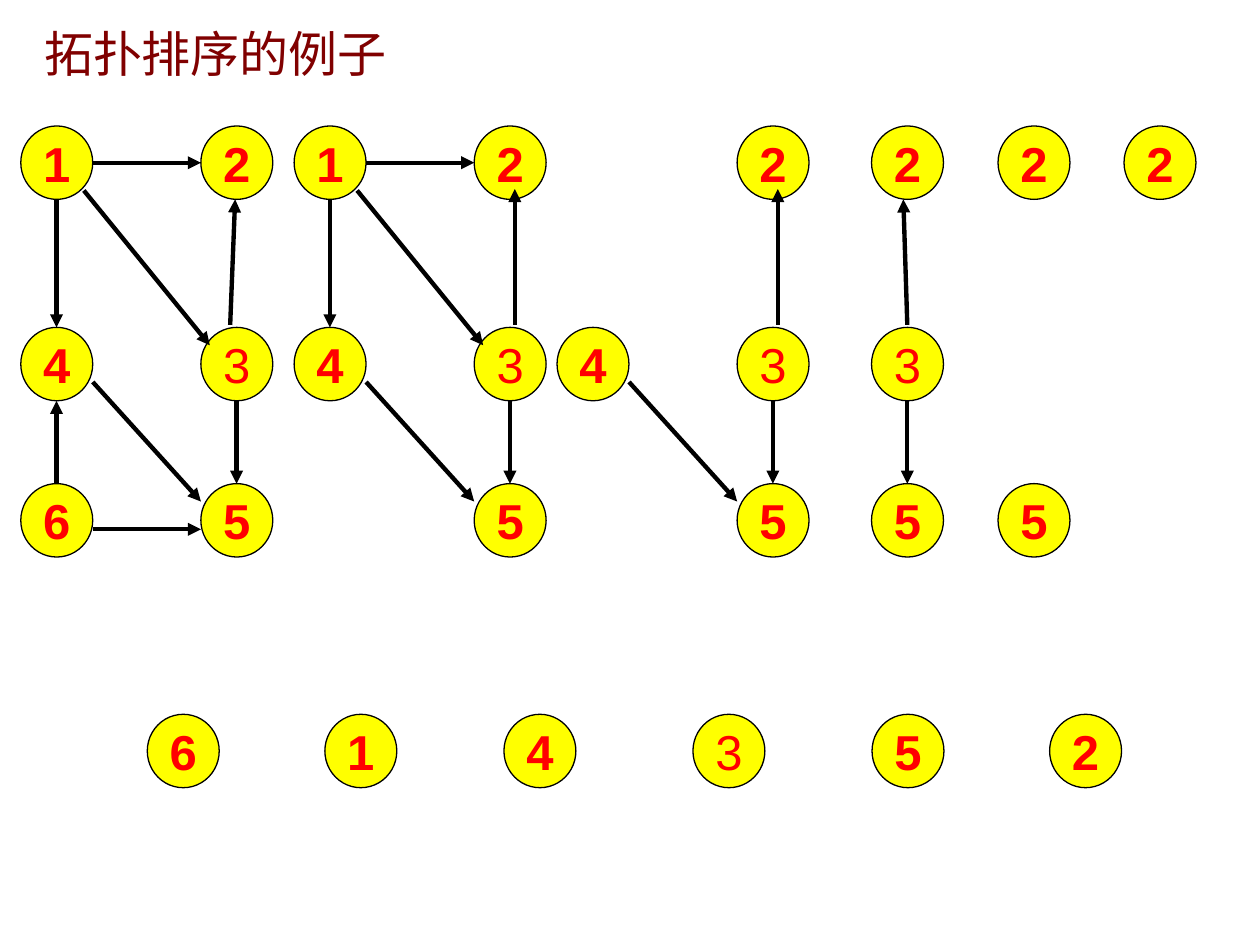
from lxml import etree
from pptx import Presentation
from pptx.dml.color import RGBColor
from pptx.enum.shapes import MSO_CONNECTOR, MSO_SHAPE
from pptx.enum.text import MSO_ANCHOR, PP_ALIGN
from pptx.oxml.ns import qn
from pptx.util import Cm, Pt

OVAL = MSO_SHAPE.OVAL
STRAIGHT = MSO_CONNECTOR.STRAIGHT
MIDDLE = MSO_ANCHOR.MIDDLE
LEFT, CENTER = PP_ALIGN.LEFT, PP_ALIGN.CENTER

NODE_W, NODE_H = 1.45, 1.48
COL_GAP = 3.63
TOP, MID, LOW, RESULT_Y = 2.54, 6.6, 9.75, 14.4
CELLS = {
    "1": (0, TOP), "2": (COL_GAP, TOP),
    "4": (0, MID), "3": (COL_GAP, MID),
    "6": (0, LOW), "5": (COL_GAP, LOW),
}
EDGES = {
    "12": (1.45, 3.28, 3.63, 3.28),
    "14": (0.72, 4.02, 0.72, 6.6),
    "13": (1.27, 3.84, 3.81, 6.96),
    "64": (0.72, 9.75, 0.72, 8.08),
    "65": (1.45, 10.67, 3.63, 10.67),
    "45": (1.45, 7.7, 3.63, 10.11),
    "35": (4.35, 8.08, 4.35, 9.75),
}
UP_FIRST = (4.22, 6.55, 4.32, 4.02)
UP_INNER = (4.45, 6.55, 4.45, 3.81)
UP_LAST = (4.35, 6.55, 4.27, 4.02)
STAGES = [
    (0.42, "134265", UP_FIRST),
    (5.93, "13425", UP_INNER),
    (11.23, "3425", UP_INNER),
    (13.94, "325", UP_LAST),
    (16.49, "25", None),
    (19.03, "2", None),
]
RESULT = zip("614352", (2.97, 6.55, 10.16, 13.97, 17.58, 21.16))


def rgb(code):
    """Turn a hex string into a colour."""
    return RGBColor.from_string(code)


def write(tf, text, size=28, font="Arial", color="FF0000", bold=False,
          align=CENTER, wrap=False):
    """Put one formatted line into a text frame."""
    tf.word_wrap = wrap
    tf.vertical_anchor = MIDDLE
    p = tf.paragraphs[0]
    p.alignment = align
    r = p.add_run()
    r.text = text
    r.font.size = Pt(size)
    r.font.name = font
    r.font.bold = bold
    r.font.color.rgb = rgb(color)


class Deck:
    """Hold the style and the current slide."""

    fill, ink, title_color = "FFFF00", "000000", "800000"

    def __init__(self, prs):
        """Add a blank slide to draw on."""
        self.s = prs.slides.add_slide(prs.slide_layouts[6])

    def title(self, text):
        """Write the slide title."""
        sp = self.s.shapes.add_textbox(Cm(0.64), Cm(0.64), Cm(20.52), Cm(0.84))
        write(sp.text_frame, text, color=self.title_color, align=LEFT, wrap=True)

    def node(self, shapes, label, x, y):
        """Draw a numbered vertex."""
        sp = shapes.add_shape(OVAL, Cm(x), Cm(y), Cm(NODE_W), Cm(NODE_H))
        sp.shadow.inherit = False
        sp.fill.solid()
        sp.fill.fore_color.rgb = rgb(self.fill)
        sp.line.color.rgb = rgb(self.ink)
        sp.line.width = Pt(0.75)
        write(sp.text_frame, label, bold=label != "3")

    def arrow(self, shapes, x1, y1, x2, y2):
        """Draw a directed edge."""
        cx = shapes.add_connector(STRAIGHT, Cm(x1), Cm(y1), Cm(x2), Cm(y2))
        cx.line.color.rgb = rgb(self.ink)
        cx.line.width = Pt(2.5)
        etree.SubElement(cx.line._get_or_add_ln(), qn("a:tailEnd"), type="triangle")
        etree.SubElement(cx._element.spPr, qn("a:effectLst"))

    def graph(self, x, labels, up):
        """Draw the vertices left at one stage and the edges between them."""
        shapes = self.s.shapes.add_group_shape().shapes if up else self.s.shapes
        for label in labels:
            dx, y = CELLS[label]
            self.node(shapes, label, x + dx, y)
        if not up:
            return
        for (start, end), (x1, y1, x2, y2) in {**EDGES, "32": up}.items():
            if start in labels and end in labels:
                self.arrow(shapes, x + x1, y1, x + x2, y2)


def main():
    """Build and save the slide."""
    prs = Presentation()
    prs.slide_width, prs.slide_height = Cm(25.4), Cm(19.05)
    deck = Deck(prs)
    deck.title("拓扑排序的例子")
    for x, labels, up in STAGES:
        deck.graph(x, labels, up)
    for label, x in RESULT:
        deck.node(deck.s.shapes, label, x, RESULT_Y)
    prs.save("out.pptx")


if __name__ == "__main__":
    main()
